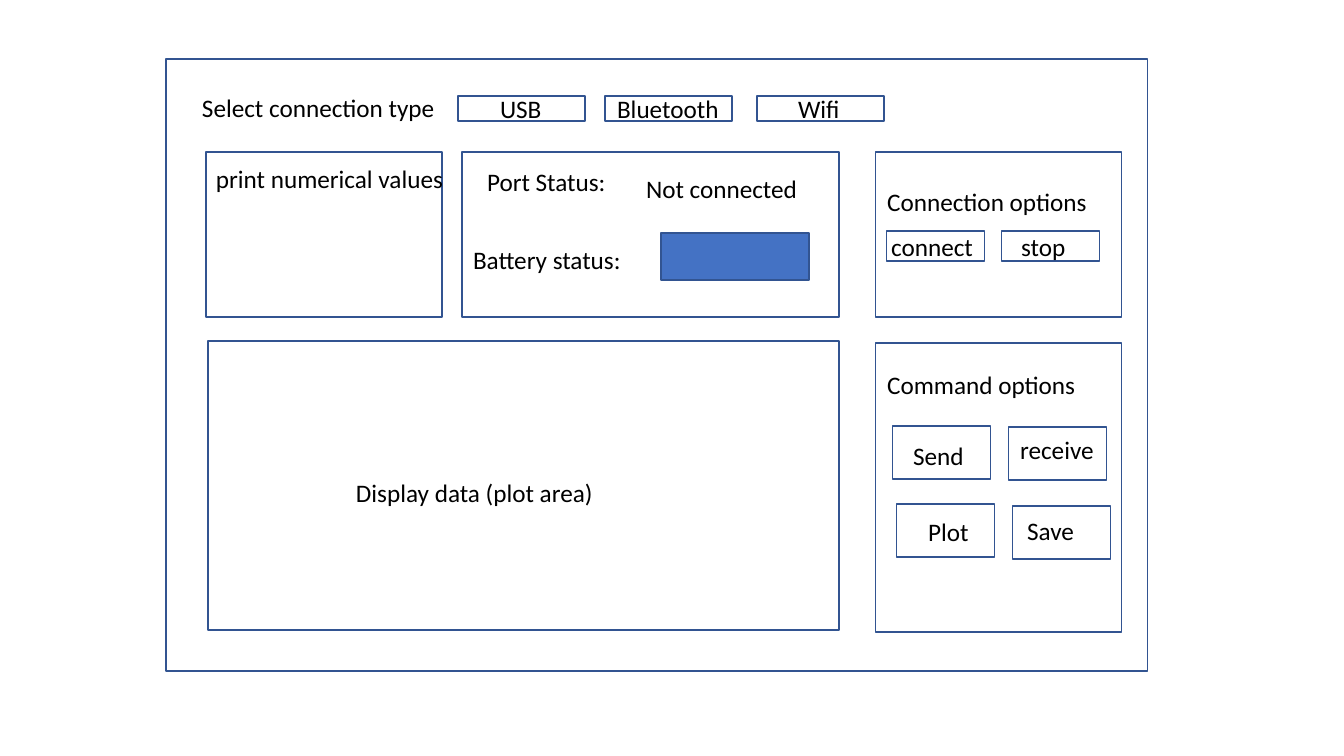
"""Build a wireframe slide of a device connection and plotting window."""
from pptx import Presentation
from pptx.dml.color import RGBColor
from pptx.enum.shapes import MSO_SHAPE as Shape
from pptx.enum.text import MSO_AUTO_SIZE as AutoSize
from pptx.util import Emu, Inches, Pt

OUTLINE = RGBColor(0x32, 0x54, 0x91)
BATTERY = RGBColor(0x44, 0x72, 0xC4)
BLACK = RGBColor(0, 0, 0)
SCALE = 914400 / 100.8
LABEL_HEIGHT = 40


class Wireframe:
    font_format = {"name": "Calibri", "size": Pt(18)}
    line_format = {"width": Pt(1)}

    def __init__(self, slide):
        self.slide = slide

    def place(self, *pixels):
        return [Emu(round(pixel * SCALE)) for pixel in pixels]

    def apply(self, target, values):
        for name, value in values.items():
            setattr(target, name, value)

    def box(self, left, top, width, height, fill=None):
        shape = self.slide.shapes.add_shape(
            Shape.RECTANGLE, *self.place(left, top, width, height))
        shape.shadow.inherit = False
        if fill is None:
            shape.fill.background()
        else:
            shape.fill.solid()
            shape.fill.fore_color.rgb = fill
        shape.line.color.rgb = OUTLINE
        self.apply(shape.line, self.line_format)

    def label(self, text, left, top, width, wrap=True):
        shape = self.slide.shapes.add_textbox(
            *self.place(left, top, width, LABEL_HEIGHT))
        frame = shape.text_frame
        self.apply(frame, {"word_wrap": wrap,
                           "auto_size": AutoSize.SHAPE_TO_FIT_TEXT})
        run = frame.paragraphs[0].add_run()
        run.text = text
        self.apply(run.font, self.font_format)
        run.font.color.rgb = BLACK


presentation = Presentation()
presentation.slide_width = Inches(13.33)
presentation.slide_height = Inches(7.5)
wireframe = Wireframe(presentation.slides.add_slide(presentation.slide_layouts[6]))

window = (166, 59, 981, 612)
plot_area = (208, 341, 631, 289)
top_panels = [(left, 152, width, 165)
              for left, width in ((206, 236), (462, 377), (875, 246))]
command_panel = (875, 343, 246, 289)
for panel in (window, plot_area, *top_panels, command_panel):
    wireframe.box(*panel)
wireframe.box(661, 233, 148, 47, BATTERY)

connection_types = (
    ("USB", 458, 490, 62), ("Bluetooth", 605, 607, 123), ("Wifi", 757, 788, 62))
for text, left, text_left, text_width in connection_types:
    wireframe.box(left, 96, 127, 25)
    wireframe.label(text, text_left, 88, text_width, wrap=False)
wireframe.label("Select connection type", 192, 87, 256, wrap=False)

option_buttons = (
    ("connect", 886, 231, 30, 881, 226),
    ("stop", 1001, 231, 30, 1011, 226),
    ("Send", 892, 426, 53, 903, 435),
    ("receive", 1008, 427, 53, 1010, 429),
    ("Plot", 896, 504, 53, 918, 511),
    ("Save", 1012, 506, 53, 1017, 510))
for text, left, top, height, text_left, text_top in option_buttons:
    wireframe.box(left, top, 98, height)
    wireframe.label(text, text_left, text_top, 110)

panel_labels = (
    ("Display data (plot area)", 346, 472, 259),
    ("print numerical values", 206, 158, 319),
    ("Port Status: ", 477, 161, 145),
    ("Not connected", 636, 168, 200),
    ("Battery status: ", 463, 239, 217),
    ("Connection options", 877, 181, 246),
    ("Command options", 877, 364, 246))
for panel_label in panel_labels:
    wireframe.label(*panel_label)

presentation.save("out.pptx")
